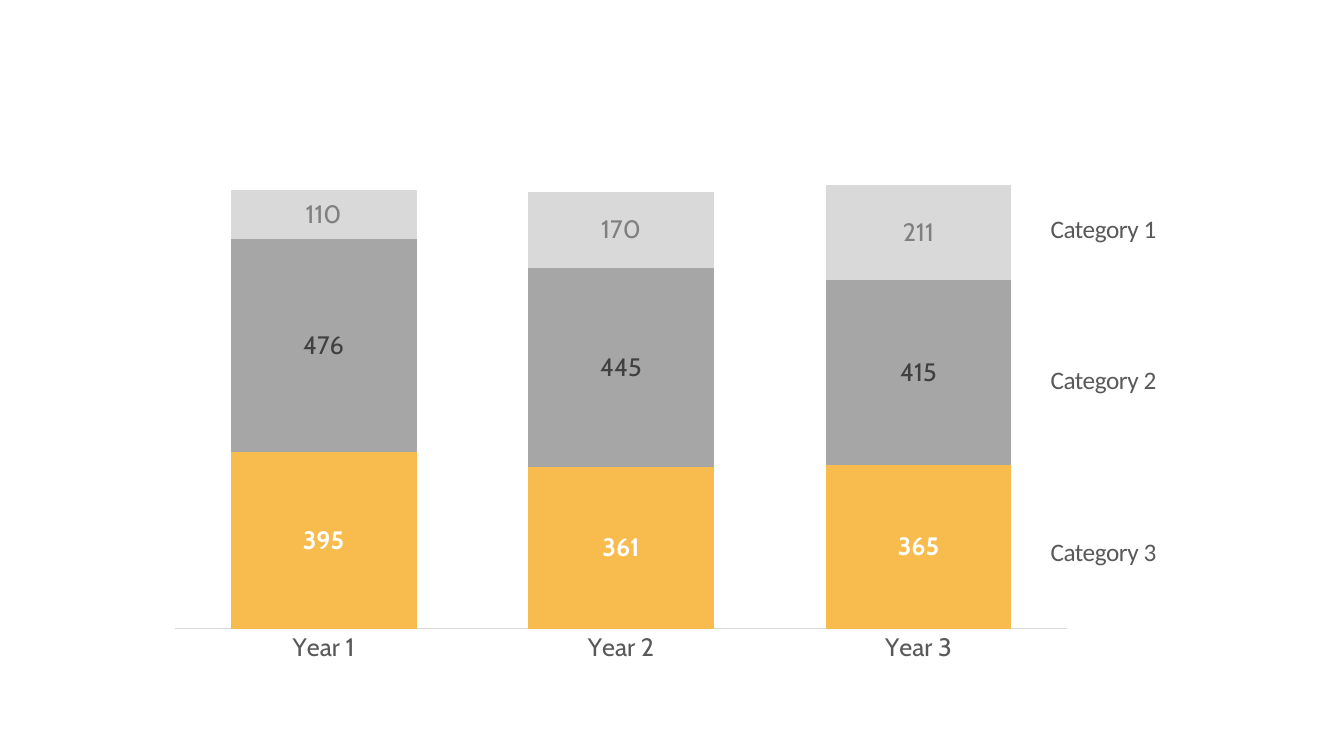
"""Build a slide with a stacked column chart and its labels."""
import dataclasses
import typing

import lxml.etree
import pptx
import pptx.chart.data
import pptx.dml.color
import pptx.enum.chart
import pptx.enum.text
import pptx.oxml.ns
import pptx.util

PX = 9144


@dataclasses.dataclass(frozen=True)
class Theme:
    """Hold the colours, fonts and sizes."""
    gold: str = "F8BB4E"
    grey: str = "A6A6A6"
    pale: str = "D9D9D9"
    white: str = "FFFFFF"
    dark: str = "404040"
    mid: str = "808080"
    ink: str = "595959"
    chart: str = "Cabin"
    label: str = "Calibri"
    size: int = 18


THEME = Theme()


@dataclasses.dataclass(frozen=True)
class Band:
    """Describe one stacked series."""
    name: str
    vals: tuple[int, ...]
    fill: str
    ink: str
    bold: bool = False


@dataclasses.dataclass(frozen=True)
class Label:
    """Describe one label beside the chart."""
    text: str
    top: int


YEARS = ("Year 1", "Year 2", "Year 3")
BANDS = (
    Band("Series 1", (395, 361, 365), THEME.gold, THEME.white, True),
    Band("Series 2", (476, 445, 415), THEME.grey, THEME.dark),
    Band("Series 3", (110, 170, 211), THEME.pale, THEME.mid),
)
LABELS = (
    Label("Category 1", 210),
    Label("Category 2", 360),
    Label("Category 3", 531),
)
PLOT = {"x": 0.02, "y": 0.02, "w": 0.96, "h": 0.9}


def px(num: int) -> pptx.util.Emu:
    """Turn px into EMU."""
    return pptx.util.Emu(num * PX)


def tint(code: str) -> pptx.dml.color.RGBColor:
    """Turn a hex code into a colour."""
    return pptx.dml.color.RGBColor.from_string(code)


def style(font: typing.Any, face: str, code: str, bold: bool = False) -> None:
    """Set the look of a font."""
    font.name = face
    font.size = pptx.util.Pt(THEME.size)
    font.bold = bold
    font.color.rgb = tint(code)


def place(chart: typing.Any) -> None:
    """Fix the inner plot area within the chart."""
    tag = pptx.oxml.ns.qn
    area = chart.plots[0]._element.getparent()
    for old in area.findall(tag("c:layout")):
        area.remove(old)
    layout = lxml.etree.Element(tag("c:layout"))
    area.insert(0, layout)
    frame = lxml.etree.SubElement(layout, tag("c:manualLayout"))
    parts = {"layoutTarget": "inner", "xMode": "edge", "yMode": "edge"}
    for key, val in {**parts, **PLOT}.items():
        lxml.etree.SubElement(frame, tag(f"c:{key}"), val=str(val))


def paint(series: typing.Any, band: Band) -> None:
    """Colour a series and show its values."""
    series.format.fill.solid()
    series.format.fill.fore_color.rgb = tint(band.fill)
    series.invert_if_negative = False
    labels = series.data_labels
    labels.show_value = True
    labels.number_format = "#,##0"
    labels.number_format_is_linked = False
    labels.position = pptx.enum.chart.XL_LABEL_POSITION.CENTER
    style(labels.font, THEME.chart, band.ink, band.bold)


def add_bars(slide: typing.Any) -> None:
    """Add the stacked column chart."""
    data = pptx.chart.data.CategoryChartData()
    data.categories = YEARS
    for band in BANDS:
        data.add_series(band.name, band.vals)
    kind = pptx.enum.chart.XL_CHART_TYPE.COLUMN_STACKED
    chart = slide.shapes.add_chart(
        kind, px(155), px(79), px(922), px(592), data).chart
    chart.has_title = False
    chart.has_legend = False
    style(chart.font, THEME.chart, THEME.ink)
    plot = chart.plots[0]
    plot.gap_width = 60
    plot.overlap = 100
    plot.vary_by_categories = False
    for series, band in zip(plot.series, BANDS):
        paint(series, band)

    none = pptx.enum.chart.XL_TICK_MARK.NONE
    base = chart.category_axis
    base.major_tick_mark = base.minor_tick_mark = none
    base.format.line.color.rgb = tint(THEME.pale)
    base.format.line.width = pptx.util.Pt(0.75)
    style(base.tick_labels.font, THEME.chart, THEME.ink)
    scale = chart.value_axis
    scale.minimum_scale = 0
    scale.maximum_scale = 1200
    scale.major_unit = 1000
    scale.has_major_gridlines = False
    scale.visible = False
    place(chart)


def add_label(slide: typing.Any, label: Label) -> None:
    """Add a label beside the bars."""
    box = slide.shapes.add_textbox(px(1042), px(label.top), px(168), px(31))
    frame = box.text_frame
    frame.margin_left = frame.margin_right = 0
    frame.margin_top = frame.margin_bottom = 0
    frame.word_wrap = True
    frame.auto_size = pptx.enum.text.MSO_AUTO_SIZE.SHAPE_TO_FIT_TEXT
    frame.text = label.text
    para = frame.paragraphs[0]
    para.line_spacing = 1.05
    para.space_after = pptx.util.Pt(4)
    run = para.runs[0]
    style(run.font, THEME.label, THEME.ink)
    run.font._element.set("spc", "-30")


def main() -> None:
    """Build and save the slide."""
    deck = pptx.Presentation()
    deck.slide_width = px(1333)
    deck.slide_height = px(750)
    slide = deck.slides.add_slide(deck.slide_layouts[6])
    add_bars(slide)
    for label in LABELS:
        add_label(slide, label)
    deck.save("out.pptx")


if __name__ == "__main__":
    main()
